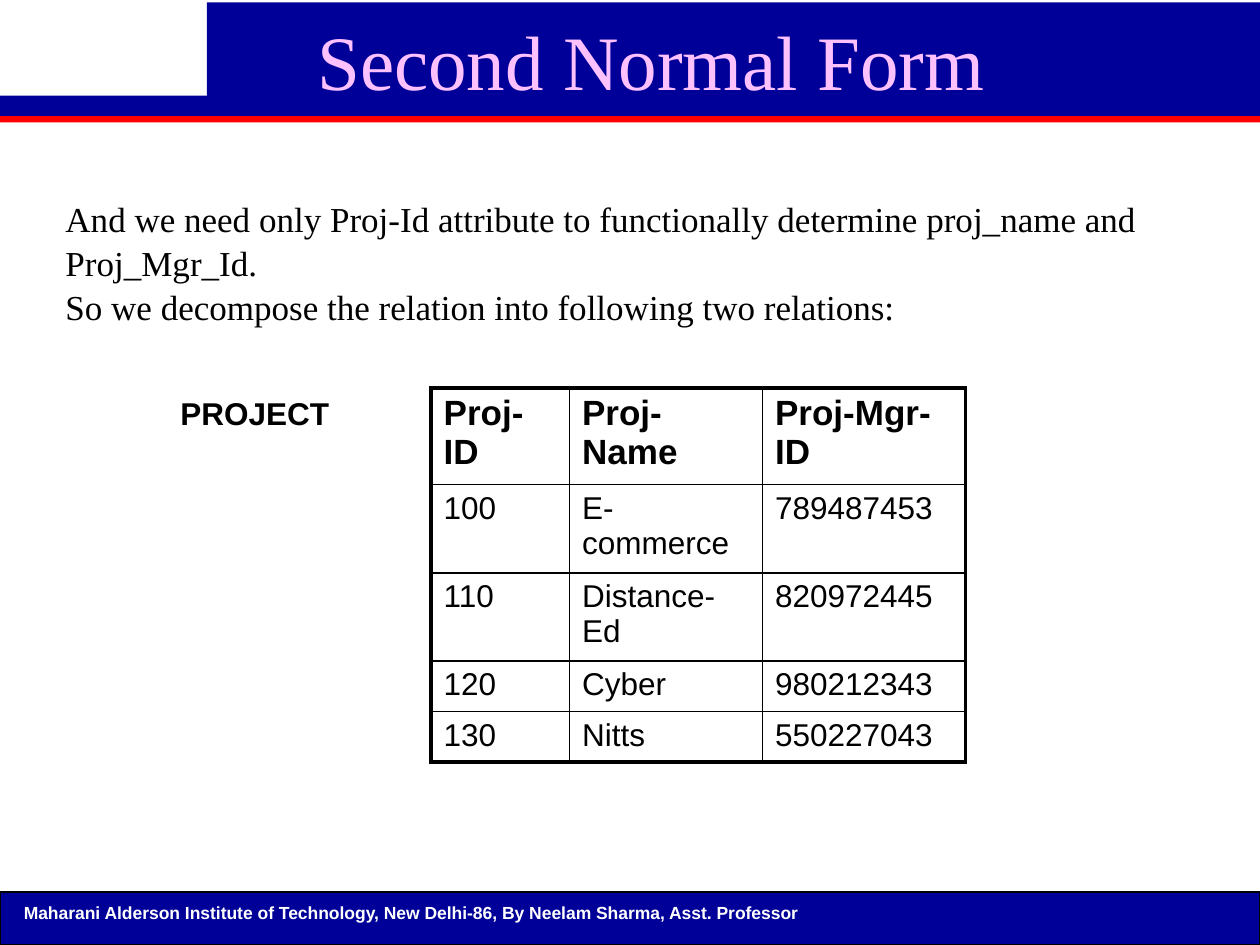
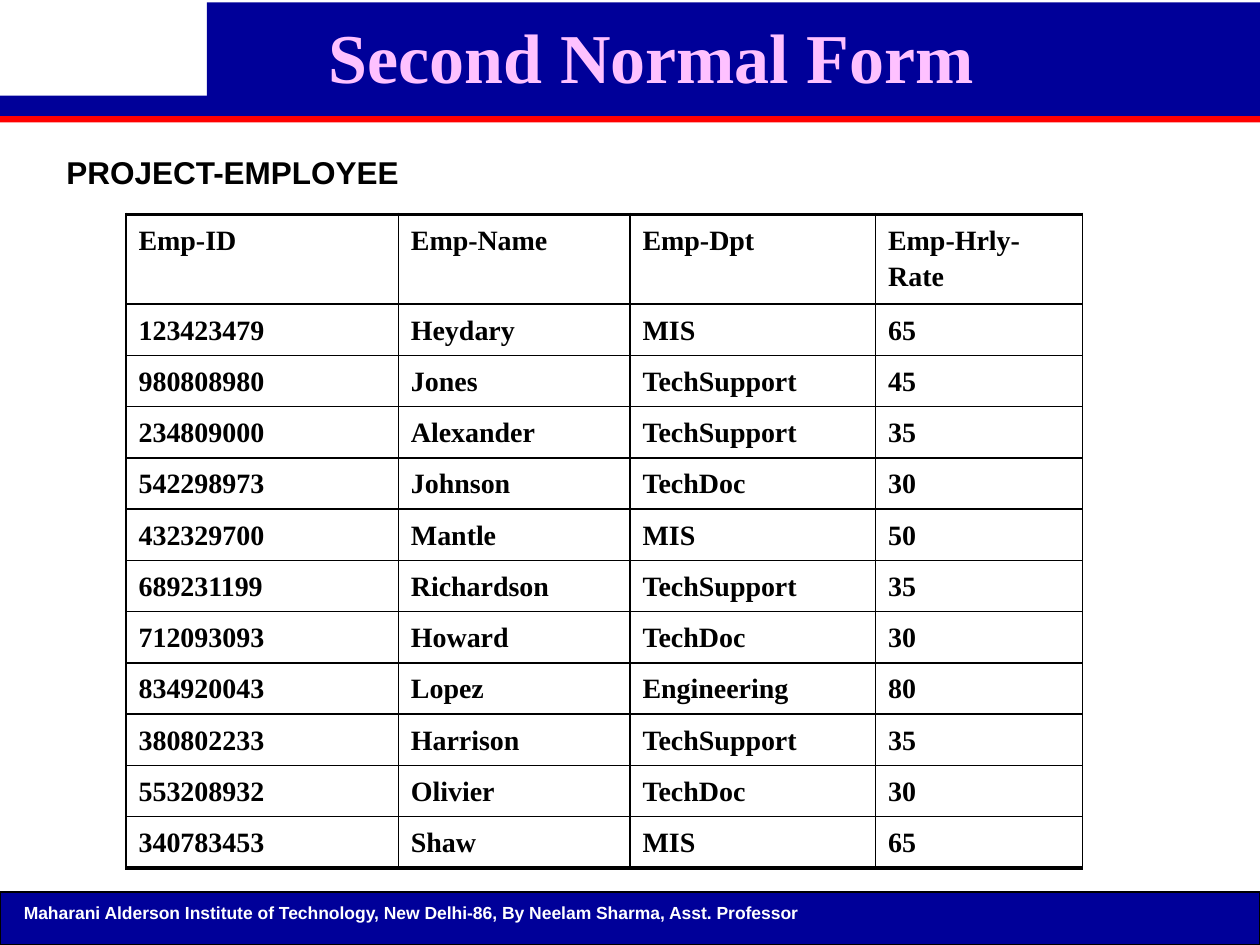
from lxml import etree
from pptx import Presentation
from pptx.dml.color import RGBColor
from pptx.enum.shapes import MSO_SHAPE
from pptx.enum.text import PP_ALIGN
from pptx.oxml.ns import qn
from pptx.util import Cm, Pt

RECTANGLE = MSO_SHAPE.RECTANGLE
LEFT, CENTER = PP_ALIGN.LEFT, PP_ALIGN.CENTER

BLUE, RED, PINK, WHITE, BLACK = "000099", "FF0000", "FEC1FF", "FFFFFF", "000000"
SERIF, SANS = "Times New Roman", "Arial"
THIN, THICK = Pt(1), Pt(2.25)

# left, top, width, height in cm, then fill and line
BANDS = [
    (0, 1.93, 25.4, 0.41, BLUE, None),
    (0, 2.34, 25.4, 0.13, RED, None),
    (4.17, 0.05, 21.23, 1.93, BLUE, None),
    (0, 17.98, 25.4, 1.07, BLUE, BLACK),
]
FOOTER = ("Maharani Alderson Institute of Technology, New Delhi-86, "
          "By Neelam Sharma, Asst. Professor")
FOOTER_FONT = {"name": SANS, "size": Pt(10), "bold": True}
TITLE_FONT = {"name": SERIF, "size": Pt(44), "bold": False}
BOLD_TITLE_FONT = {"name": SERIF, "size": Pt(40), "bold": True}
LABEL_FONT = {"name": SANS, "size": Pt(18), "bold": True}
BODY_FONT = {"name": SERIF, "size": Pt(20), "bold": False}
EMPLOYEE_FONT = {"name": SERIF, "size": Pt(16), "bold": True}

BODY_LINES = [
    "And we need only Proj-Id attribute to functionally determine "
    "proj_name and Proj_Mgr_Id.",
    "So we decompose the relation into following two relations:",
]
PROJECT_ROWS = [
    ("Proj-ID", "Proj-Name", "Proj-Mgr-ID"),
    ("100", "E-commerce", "789487453"),
    ("110", "Distance-Ed", "820972445"),
    ("120", "Cyber", "980212343"),
    ("130", "Nitts", "550227043"),
]
EMPLOYEE_ROWS = [
    ("Emp-ID", "Emp-Name", "Emp-Dpt", "Emp-Hrly-Rate"),
    ("123423479", "Heydary", "MIS", "65"),
    ("980808980", "Jones", "TechSupport", "45"),
    ("234809000", "Alexander", "TechSupport", "35"),
    ("542298973", "Johnson", "TechDoc", "30"),
    ("432329700", "Mantle", "MIS", "50"),
    ("689231199", "Richardson", "TechSupport", "35"),
    ("712093093", "Howard", "TechDoc", "30"),
    ("834920043", "Lopez", "Engineering", "80"),
    ("380802233", "Harrison", "TechSupport", "35"),
    ("553208932", "Olivier", "TechDoc", "30"),
    ("340783453", "Shaw", "MIS", "65"),
]

# Text boxes: left, top, width, height in cm, lines, font, colour, alignment, spacing, wrap
SLIDES = [
    {
        "texts": [
            (1.7, 0.15, 22.86, 3.81, ["Second Normal Form"], TITLE_FONT, PINK, CENTER, 1, True),
            (3.38, 7.82, 3.51, 1.02, ["PROJECT"], LABEL_FONT, BLACK, CENTER, 1, False),
            (1.07, 3.81, 23.29, 4.52, BODY_LINES, BODY_FONT, BLACK, LEFT, 1.05, True),
        ],
        "rows": PROJECT_ROWS,
        "corner": (8.69, 7.82),
        "widths": [2.79, 3.89, 4.09],
        "heights": [1.83, 1.67, 1.67, 0.97, 0.97],
        "header_font": {"name": SANS, "size": Pt(20), "bold": True},
        "cell_font": {"name": SANS, "size": Pt(18), "bold": False},
        "spacing": {"line_spacing": 1},
        "side_line": THICK,
    },
    {
        "texts": [
            (1.7, 0.15, 22.86, 2.34, ["Second Normal Form"], BOLD_TITLE_FONT, PINK, CENTER, 1, True),
            (1.07, 2.97, 7.24, 1.02, ["PROJECT-EMPLOYEE"], LABEL_FONT, BLACK, CENTER, 1, False),
        ],
        "rows": EMPLOYEE_ROWS,
        "corner": (2.54, 4.32),
        "widths": [5.49, 4.67, 4.95, 4.17],
        "heights": [1.81] + [1.03] * 11,
        "header_font": EMPLOYEE_FONT,
        "cell_font": EMPLOYEE_FONT,
        "spacing": {"line_spacing": 1.15, "space_after": Pt(10)},
        "side_line": THIN,
    },
]


def rgb(value):
    return RGBColor.from_string(value)


def write_paragraph(paragraph, text, font, color, layout):
    """Add text as one run; font and layout map attribute names to values."""
    run = paragraph.add_run()
    run.text = text
    run.font.color.rgb = rgb(color)
    for target, values in ((run.font, font), (paragraph, layout)):
        for name, value in values.items():
            setattr(target, name, value)


presentation = Presentation()
presentation.slide_width = Cm(25.4)
presentation.slide_height = Cm(19.05)

for content in SLIDES:
    slide = presentation.slides.add_slide(presentation.slide_layouts[6])

    for left, top, width, height, fill, line in BANDS:
        band = slide.shapes.add_shape(RECTANGLE, Cm(left), Cm(top), Cm(width), Cm(height))
        band.shadow.inherit = False
        band.fill.solid()
        band.fill.fore_color.rgb = rgb(fill)
        if line:
            band.line.color.rgb = rgb(line)
            band.line.width = Pt(0.75)
        else:
            band.line.fill.background()

    footer = (0.23, 18.06, 24.33, 0.69, [FOOTER], FOOTER_FONT, WHITE, LEFT, 1, True)
    for left, top, width, height, lines, font, color, alignment, spacing, wrap in [
        footer, *content["texts"]
    ]:
        box = slide.shapes.add_textbox(Cm(left), Cm(top), Cm(width), Cm(height))
        frame = box.text_frame
        frame.word_wrap = wrap
        for index, text in enumerate(lines):
            paragraph = frame.add_paragraph() if index else frame.paragraphs[0]
            write_paragraph(paragraph, text, font, color,
                            {"alignment": alignment, "line_spacing": spacing})

    rows, widths, heights = content["rows"], content["widths"], content["heights"]
    left, top = content["corner"]
    table = slide.shapes.add_table(len(rows), len(widths), Cm(left), Cm(top),
                                   Cm(sum(widths)), Cm(sum(heights))).table
    table.first_row = False
    table.horz_banding = False
    for column, width in zip(table.columns, widths):
        column.width = Cm(width)
    for row, height in zip(table.rows, heights):
        row.height = Cm(height)

    last_row, last_column = len(rows) - 1, len(widths) - 1
    for row_index, values in enumerate(rows):
        font = content["cell_font"] if row_index else content["header_font"]
        for column_index, text in enumerate(values):
            cell = table.cell(row_index, column_index)
            cell.fill.background()
            write_paragraph(cell.text_frame.paragraphs[0], text, font, BLACK,
                            content["spacing"])
            borders = {
                "a:lnL": THIN if column_index else content["side_line"],
                "a:lnR": THIN if column_index < last_column else content["side_line"],
                "a:lnT": THIN if row_index else THICK,
                "a:lnB": THIN if row_index < last_row else THICK,
            }
            properties = cell._tc.get_or_add_tcPr()
            for position, (tag, width) in enumerate(borders.items()):
                border = etree.Element(qn(tag), w=str(int(width)))
                solid = etree.SubElement(border, qn("a:solidFill"))
                etree.SubElement(solid, qn("a:srgbClr"), val=BLACK)
                properties.insert(position, border)

presentation.save("out.pptx")
